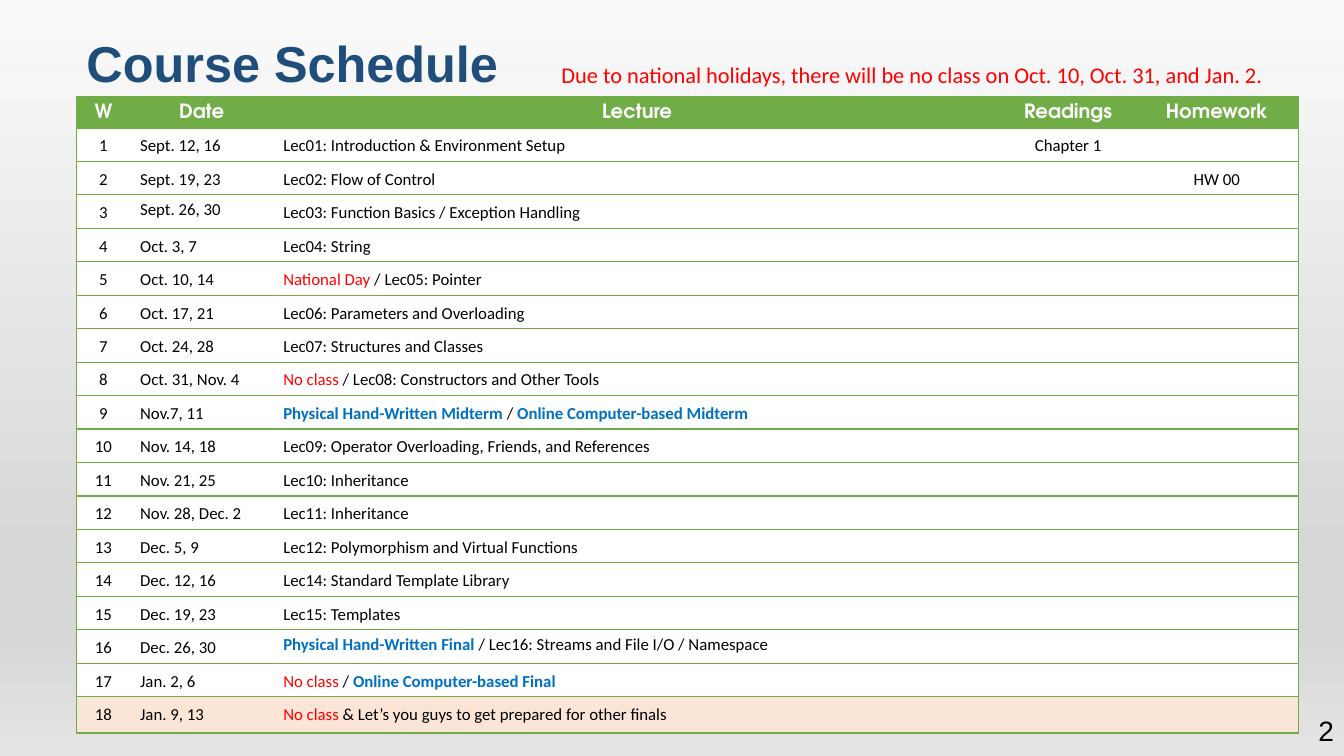
from dataclasses import dataclass

from lxml import etree
from pptx import Presentation
from pptx.dml.color import RGBColor
from pptx.enum.shapes import MSO_SHAPE
from pptx.enum.text import MSO_ANCHOR, PP_ALIGN
from pptx.oxml import parse_xml
from pptx.util import Emu, Inches, Pt

RECTANGLE = MSO_SHAPE.RECTANGLE
TOP, MIDDLE, BOTTOM = MSO_ANCHOR.TOP, MSO_ANCHOR.MIDDLE, MSO_ANCHOR.BOTTOM
LEFT, CENTER, RIGHT = PP_ALIGN.LEFT, PP_ALIGN.CENTER, PP_ALIGN.RIGHT

DRAWING = "http://schemas.openxmlformats.org/drawingml/2006/main"
NO_STYLE = "{2D5ABB26-0587-4C30-8999-92F81FD0307C}"
COLORS = {
    "title": "1E4E79", "green": "70AD47", "white": "FFFFFF", "black": "000000",
    "red": "FF0000", "blue": "0070C0", "peach": "FBE5D6",
}
BACKDROP_STOPS = ((0, "FAFAFA"), (74, "D7D7D7"), (83, "D7D7D7"), (100, "E4E4E4"))

# Lengths below are percentages of the slide's width and height.
TABLE_LEFT, TABLE_TOP = 5.7, 12.8
COLUMN_WIDTHS = (3.98, 10.65, 54.16, 9.98, 12.15)
ROW_HEIGHT, LAST_ROW_HEIGHT = 4.13, 4.8
HEADINGS = ("W", "Date", "Lecture", "Readings", "Homework")
COLUMN_ALIGNMENTS = (CENTER, LEFT, LEFT, CENTER, CENTER)
TABLE_SPACING = 1.14


@dataclass(frozen=True)
class Style:
    """Look of a run of text."""
    size: int
    font: str
    color: str
    bold: bool = False


@dataclass(frozen=True)
class Label:
    """Free text placed by shares of the slide."""
    text: str
    box: tuple[float, float, float, float]
    style: Style
    alignment: PP_ALIGN = LEFT
    anchor: MSO_ANCHOR = TOP
    spacing: float = 1.0


@dataclass(frozen=True)
class Week:
    """One teaching week; the lecture is a series of styled pieces."""
    dates: str
    lecture: tuple[tuple[str, Style], ...]
    reading: str = ""
    homework: str = ""
    date_spacing: float = TABLE_SPACING
    lecture_spacing: float = TABLE_SPACING


HEADER = Style(14, "TeX Gyre Adventor", "white", True)
BODY = Style(12, "Calibri", "black")
HOLIDAY = Style(12, "Calibri", "red")
EXAM = Style(12, "Calibri", "blue", True)
NO_CLASS = ("No class ", HOLIDAY)

LABELS = (
    Label("Course Schedule", (5.7, 2.8, 84.83, 10.27),
          Style(36, "Arial", "title", True), anchor=BOTTOM, spacing=0.9),
    Label("2", (90.62, 95.2, 9.38, 2.67), Style(20, "Arial", "black"), RIGHT, MIDDLE),
    Label("Due to national holidays, there will be no class on Oct. 10, Oct. 31, and Jan. 2.",
          (41.04, 7.87, 56.19, 4.53), Style(16, "Calibri", "red"), spacing=0.9),
)


def plain(text: str) -> tuple[tuple[str, Style], ...]:
    """Return text as one piece in the body style."""
    return ((text, BODY),)


WEEKS = (
    Week("Sept. 12, 16", plain("Lec01: Introduction & Environment Setup"), "Chapter 1"),
    Week("Sept. 19, 23", plain("Lec02: Flow of Control"), homework="HW 00"),
    Week("Sept. 26, 30", plain("Lec03: Function Basics / Exception Handling"),
         date_spacing=1.0),
    Week("Oct. 3, 7", plain("Lec04: String")),
    Week("Oct. 10, 14", (("National Day ", HOLIDAY), ("/ Lec05: Pointer", BODY))),
    Week("Oct. 17, 21", plain("Lec06: Parameters and Overloading")),
    Week("Oct. 24, 28", plain("Lec07: Structures and Classes")),
    Week("Oct. 31, Nov. 4", (NO_CLASS, ("/ Lec08: Constructors and Other Tools", BODY))),
    Week("Nov.7, 11", (("Physical Hand-Written Midterm ", EXAM), ("/ ", BODY),
                       ("Online Computer-based Midterm", EXAM))),
    Week("Nov. 14, 18", plain("Lec09: Operator Overloading, Friends, and References")),
    Week("Nov. 21, 25", plain("Lec10: Inheritance")),
    Week("Nov. 28, Dec. 2", plain("Lec11: Inheritance")),
    Week("Dec. 5, 9", plain("Lec12: Polymorphism and Virtual Functions")),
    Week("Dec. 12, 16", plain("Lec14: Standard Template Library")),
    Week("Dec. 19, 23", plain("Lec15: Templates")),
    Week("Dec. 26, 30", (("Physical Hand-Written Final ", EXAM),
                         ("/ Lec16: Streams and File I/O / Namespace", BODY)),
         lecture_spacing=1.0),
    Week("Jan. 2, 6", (NO_CLASS, ("/ ", BODY), ("Online Computer-based Final", EXAM))),
    Week("Jan. 9, 13", (NO_CLASS, ("& Let’s you guys to get prepared for other finals", BODY))),
)

presentation = Presentation()
presentation.slide_width, presentation.slide_height = Inches(13.33), Inches(7.5)
slide = presentation.slides.add_slide(presentation.slide_layouts[6])


def across(share: float) -> Emu:
    """Turn a percentage of the slide's width into a length."""
    return Emu(round(presentation.slide_width * share / 100))


def down(share: float) -> Emu:
    """Turn a percentage of the slide's height into a length."""
    return Emu(round(presentation.slide_height * share / 100))


def write(paragraph, pieces, alignment: PP_ALIGN, spacing: float) -> None:
    """Write styled pieces of text into a paragraph."""
    paragraph.alignment, paragraph.line_spacing = alignment, spacing
    for text, style in pieces:
        run = paragraph.add_run()
        run.text = text
        run.font.size, run.font.name, run.font.bold = Pt(style.size), style.font, style.bold
        run.font.color.rgb = RGBColor.from_string(COLORS[style.color])


def draw_backdrop() -> None:
    """Cover the slide with a vertical grey gradient."""
    shape = slide.shapes.add_shape(RECTANGLE, 0, 0, across(100), down(100))
    shape.shadow.inherit = False
    shape.line.fill.background()
    stops = "".join(f'<a:gs pos="{position * 1000}"><a:srgbClr val="{color}"/></a:gs>'
                    for position, color in BACKDROP_STOPS)
    gradient = parse_xml(f'<a:gradFill xmlns:a="{DRAWING}"><a:gsLst>{stops}</a:gsLst>'
                         '<a:lin ang="5400000" scaled="0"/></a:gradFill>')
    shape.fill.solid()
    solid = shape.element.spPr.find(f"{{{DRAWING}}}solidFill")
    solid.getparent().replace(solid, gradient)


def draw_label(label: Label) -> None:
    """Place a text box."""
    left, top, width, height = label.box
    text_box = slide.shapes.add_textbox(across(left), down(top), across(width), down(height))
    text_box.text_frame.word_wrap = True
    text_box.text_frame.vertical_anchor = label.anchor
    write(text_box.text_frame.paragraphs[0], ((label.text, label.style),),
          label.alignment, label.spacing)


def fill_cell(cell, pieces, alignment: PP_ALIGN, spacing: float,
              color: str, sides: str) -> None:
    """Fill one cell, with green borders on the given sides."""
    cell.fill.solid()
    cell.fill.fore_color.rgb = RGBColor.from_string(COLORS[color])
    for index, side in enumerate(sides):
        cell.fill._xPr.insert(index, parse_xml(
            f'<a:ln{side} xmlns:a="{DRAWING}" w="{Pt(1)}"><a:solidFill>'
            f'<a:srgbClr val="{COLORS["green"]}"/></a:solidFill></a:ln{side}>'))
    paragraph = cell.text_frame.paragraphs[0]
    write(paragraph, pieces, alignment, spacing)
    if not pieces:
        etree.SubElement(paragraph._p, f"{{{DRAWING}}}endParaRPr", sz=str(BODY.size * 100))


def draw_schedule() -> None:
    """Draw the course table: a heading row, then a row per week."""
    rows = [[(((heading, HEADER),), CENTER, TABLE_SPACING) for heading in HEADINGS]]
    for number, week in enumerate(WEEKS, start=1):
        contents = (plain(str(number)), plain(week.dates), week.lecture,
                    plain(week.reading) if week.reading else (),
                    plain(week.homework) if week.homework else ())
        spacings = (TABLE_SPACING, week.date_spacing, week.lecture_spacing,
                    TABLE_SPACING, TABLE_SPACING)
        rows.append(list(zip(contents, COLUMN_ALIGNMENTS, spacings)))

    last_row, last_column = len(rows) - 1, len(HEADINGS) - 1
    frame = slide.shapes.add_table(
        len(rows), len(HEADINGS), across(TABLE_LEFT), down(TABLE_TOP),
        across(sum(COLUMN_WIDTHS)), down(ROW_HEIGHT * last_row + LAST_ROW_HEIGHT))
    table = frame.table
    table._tbl.tblPr.find(f"{{{DRAWING}}}tableStyleId").text = NO_STYLE
    for column, width in zip(table.columns, COLUMN_WIDTHS):
        column.width = across(width)
    for row_index, row in enumerate(rows):
        table.rows[row_index].height = down(
            LAST_ROW_HEIGHT if row_index == last_row else ROW_HEIGHT)
        color = {0: "green", last_row: "peach"}.get(row_index, "white")
        for column_index, (pieces, alignment, spacing) in enumerate(row):
            edge = {0: "L", last_column: "R"}.get(column_index, "")
            fill_cell(table.cell(row_index, column_index), pieces, alignment, spacing,
                      color, edge + "TB")


draw_backdrop()
draw_schedule()
for label in LABELS:
    draw_label(label)
presentation.save("out.pptx")
